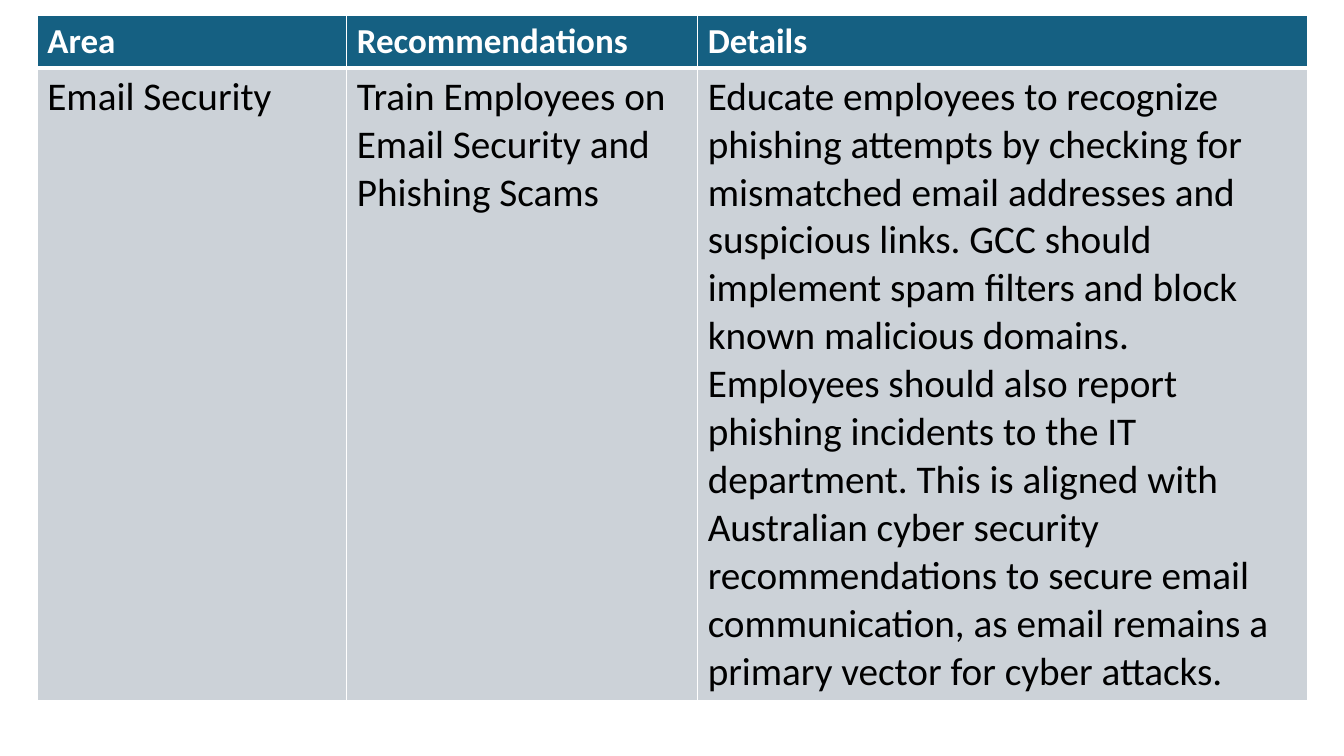
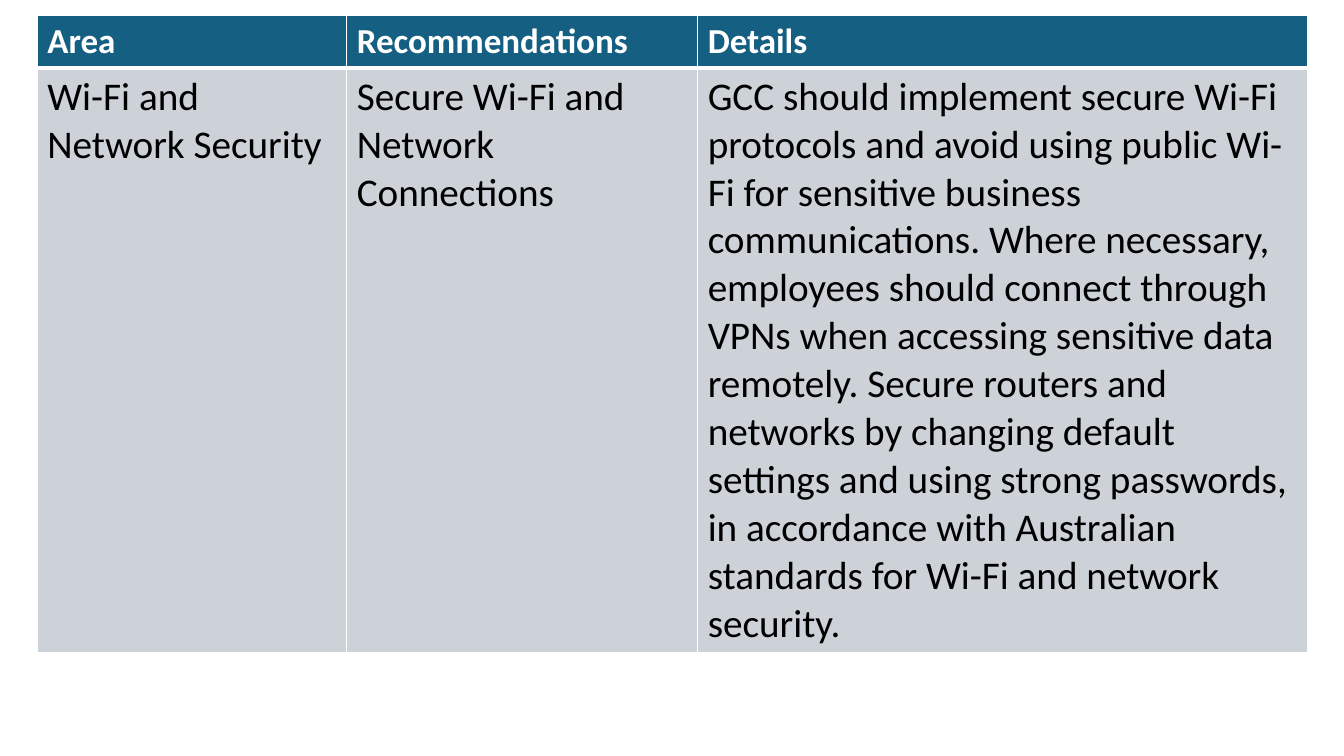
from dataclasses import dataclass

from lxml import etree
from pptx import Presentation
from pptx.dml.color import RGBColor
from pptx.enum.text import MSO_ANCHOR
from pptx.oxml.ns import qn
from pptx.util import Inches, Pt

TOP, MIDDLE = MSO_ANCHOR.TOP, MSO_ANCHOR.MIDDLE
BLANK = 6


@dataclass(frozen=True)
class Style:
    fill: str
    color: str
    size: int
    bold: bool
    anchor: MSO_ANCHOR
    base: int  # width of the bottom border, points


@dataclass(frozen=True)
class Theme:
    font: str = "Calibri"
    rule: str = "FFFFFF"
    head: Style = Style("156082", "FFFFFF", 25, True, MIDDLE, 3)
    body: Style = Style("CCD2D8", "000000", 28, False, TOP, 1)


THEME = Theme()

# Table grid, in inches
LEFT, TOP_EDGE = 0.37, 0.15
COLS = (3.07, 3.48, 6.05)
HEAD_HEIGHT = 0.52

HEADS = ("Area", "Recommendations", "Details")

# Each slide: height of the body row, then its texts
SLIDES = (
    (6.16, (
        "Email Security",
        "Train Employees on Email Security and Phishing Scams",
        "Educate employees to recognize phishing attempts by checking for "
        "mismatched email addresses and suspicious links. GCC should "
        "implement spam filters and block known malicious domains. "
        "Employees should also report phishing incidents to the IT "
        "department. This is aligned with Australian cyber security "
        "recommendations to secure email communication, as email remains a "
        "primary vector for cyber attacks.",
    )),
    (5.70, (
        "Wi-Fi and Network Security",
        "Secure Wi-Fi and Network Connections",
        "GCC should implement secure Wi-Fi protocols and avoid using public "
        "Wi-Fi for sensitive business communications. Where necessary, "
        "employees should connect through VPNs when accessing sensitive "
        "data remotely. Secure routers and networks by changing default "
        "settings and using strong passwords, in accordance with Australian "
        "standards for Wi-Fi and network security.",
    )),
)


def add_borders(cell, base):
    """Draw the four cell borders; they must precede the fill in the XML."""
    props = cell._tc.get_or_add_tcPr()
    widths = {"a:lnL": 1, "a:lnR": 1, "a:lnT": 1, "a:lnB": base}
    for place, (tag, width) in enumerate(widths.items()):
        line = etree.Element(qn(tag), w=str(Pt(width)))
        solid = etree.SubElement(line, qn("a:solidFill"))
        etree.SubElement(solid, qn("a:srgbClr"), val=THEME.rule)
        props.insert(place, line)


def fill_cell(cell, text, style):
    cell.text = text
    cell.vertical_anchor = style.anchor
    cell.fill.solid()
    cell.fill.fore_color.rgb = RGBColor.from_string(style.fill)
    font = cell.text_frame.paragraphs[0].font
    font.name = THEME.font
    font.size = Pt(style.size)
    font.bold = style.bold
    font.color.rgb = RGBColor.from_string(style.color)
    add_borders(cell, style.base)


def add_grid(slide, height, texts):
    rows = (
        (HEAD_HEIGHT, HEADS, THEME.head),
        (height, texts, THEME.body),
    )
    table = slide.shapes.add_table(
        len(rows), len(COLS), Inches(LEFT), Inches(TOP_EDGE),
        Inches(sum(COLS)), Inches(HEAD_HEIGHT + height)).table
    for column, width in zip(table.columns, COLS):
        column.width = Inches(width)
    for row, (tall, words, style) in zip(table.rows, rows):
        row.height = Inches(tall)
        for cell, text in zip(row.cells, words):
            fill_cell(cell, text, style)


def main():
    deck = Presentation()
    deck.slide_width, deck.slide_height = Inches(13.33), Inches(7.5)
    for height, texts in SLIDES:
        slide = deck.slides.add_slide(deck.slide_layouts[BLANK])
        add_grid(slide, height, texts)
    deck.save("out.pptx")


if __name__ == "__main__":
    main()
